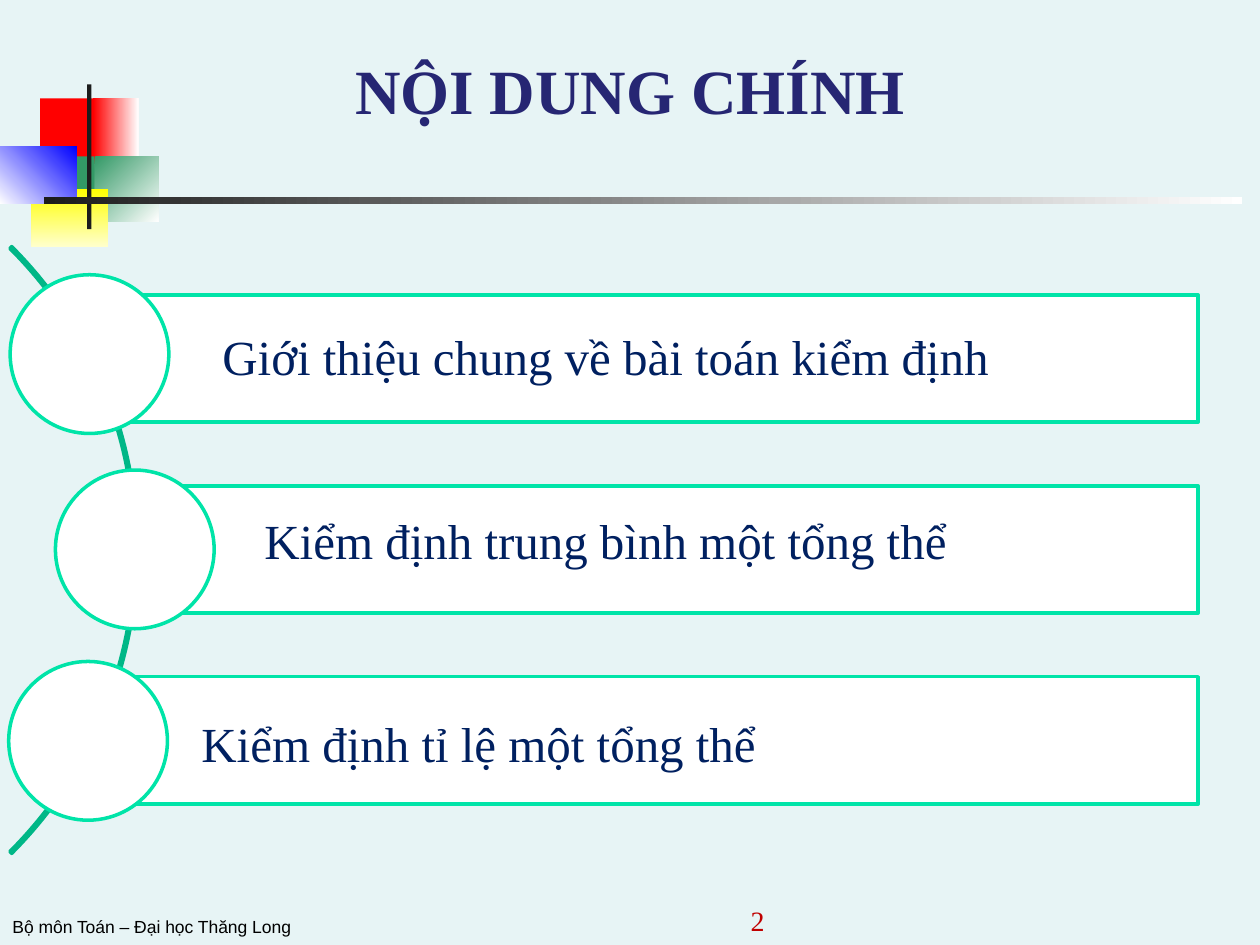
from typing import NamedTuple, Optional

from pptx import Presentation
from pptx.dml.color import RGBColor
from pptx.enum.shapes import MSO_SHAPE as SHAPE
from pptx.enum.text import MSO_ANCHOR as ANCHOR, MSO_AUTO_SIZE as AUTOSIZE, PP_ALIGN as ALIGN
from pptx.util import Pt

SERIF, SANS = "Times New Roman", "Arial"
WHITE, MINT, GREEN, NAVY = "FFFFFF", "00E4A8", "00B787", "002060"


class Block(NamedTuple):
    """Decorative rectangle; a second colour makes a gradient (clockwise angle)."""
    x: float
    y: float
    w: float
    h: float
    color: str
    end: Optional[str] = None
    angle: float = 0


class Topic(NamedTuple):
    text: str
    text_x: float
    text_y: float
    bar_x: float
    circle_x: float
    circle_y: float


BLOCKS = [
    Block(23, 56.2, 34.6, 37.4, "FF0000"),
    Block(53.3, 56.2, 25.9, 37.4, "FF0000", WHITE),
    Block(54, 89.3, 36.7, 37.4, "339966", WHITE, 45),
    Block(31, 89.3, 23, 37.4, "339966"),
    Block(18, 108, 44, 33.1, "FFFF00", "FFFFCC", 90),
    Block(0, 83.5, 44, 33.1, WHITE, "0000FF", 315),
    Block(49.8, 48.2, 2.5, 82.8, "1C1C1C"),
    Block(25.2, 112.5, 684.7, 4.3, "1C1C1C", WHITE),
]

TOPICS = [
    Topic("Giới thiệu chung về bài toán kiểm định", 120, 183, 50.4, 5.8, 157),
    Topic("Kiểm định trung bình một tổng thể", 144, 288, 77, 31.7, 268.6),
    Topic("Kiểm định tỉ lệ một tổng thể", 108, 404, 50.4, 5, 378),
]
BAR_TOP, BAR_PITCH, BAR_H, BAR_RIGHT = 168.5, 109.1, 72.7, 684.7
CIRCLE = 90.7


def rgb(color: str) -> RGBColor:
    return RGBColor.from_string(color)


def add_shape(s, kind, x: float, y: float, w: float, h: float,
              fill: Optional[str] = None, line: Optional[str] = None):
    sp = s.shapes.add_shape(kind, Pt(x), Pt(y), Pt(w), Pt(h))
    sp.shadow.inherit = False
    if fill:
        sp.fill.solid()
        sp.fill.fore_color.rgb = rgb(fill)
    else:
        sp.fill.background()
    if line:
        sp.line.color.rgb = rgb(line)
        sp.line.width = Pt(2)
    else:
        sp.line.fill.background()
    return sp


def add_block(s, b: Block) -> None:
    sp = add_shape(s, SHAPE.RECTANGLE, b.x, b.y, b.w, b.h, b.color)
    if b.end:
        sp.fill.gradient()
        sp.fill.gradient_angle = (360 - b.angle) % 360
        for stop, color in zip(sp.fill.gradient_stops, (b.color, b.end)):
            stop.color.rgb = rgb(color)


def write(sp, text: str, color: str, size: float, font: str = SERIF,
          bold: bool = False, align=ALIGN.LEFT, anchor=ANCHOR.TOP) -> None:
    tf = sp.text_frame
    frame = {"word_wrap": True, "auto_size": AUTOSIZE.NONE, "vertical_anchor": anchor,
             "margin_left": Pt(7.2), "margin_right": Pt(7.2),
             "margin_top": Pt(3.6), "margin_bottom": Pt(3.6)}
    for name, value in frame.items():
        setattr(tf, name, value)
    p = tf.paragraphs[0]
    p.alignment = align
    r = p.add_run()
    r.text = text
    for name, value in {"name": font, "size": Pt(size), "bold": bold}.items():
        setattr(r.font, name, value)
    r.font.color.rgb = rgb(color)


def add_text(s, x: float, y: float, w: float, h: float, text: str,
             color: str, size: float, **style) -> None:
    sp = s.shapes.add_textbox(Pt(x), Pt(y), Pt(w), Pt(h))
    write(sp, text, color, size, **style)


def main() -> None:
    prs = Presentation()
    prs.slide_width, prs.slide_height = Pt(720), Pt(540)
    s = prs.slides.add_slide(prs.slide_layouts[5])
    s.background.fill.solid()
    s.background.fill.fore_color.rgb = rgb("E7F4F5")

    # Corner decoration and rule
    for block in BLOCKS:
        add_block(s, block)

    # Title
    title = s.shapes.title
    box = {"left": Pt(0), "top": Pt(23.8), "width": Pt(720), "height": Pt(52.6)}
    for name, value in box.items():
        setattr(title, name, value)
    write(title, "NỘI DUNG CHÍNH", "262673", 36, bold=True,
          align=ALIGN.CENTER, anchor=ANCHOR.BOTTOM)

    # Arc behind the topics, from 315 to 45 degrees
    arc = add_shape(s, SHAPE.BLOCK_ARC, -411.8, 69.1, 490.3, 490.3, line=GREEN)
    for i, value in enumerate((189, 27, 0.003)):
        arc.adjustments[i] = value

    # Topic bars with their circles
    for i, t in enumerate(TOPICS):
        add_shape(s, SHAPE.RECTANGLE, t.bar_x, BAR_TOP + i * BAR_PITCH,
                  BAR_RIGHT - t.bar_x, BAR_H, WHITE, MINT)
        add_shape(s, SHAPE.OVAL, t.circle_x, t.circle_y, CIRCLE, CIRCLE, WHITE, MINT)
    for t in TOPICS:
        add_text(s, t.text_x, t.text_y, BAR_RIGHT - t.text_x, 41, t.text, NAVY, 28)

    # Page number and footer
    add_text(s, 276, 510, 168, 28.8, "2", "C00000", 16,
             align=ALIGN.RIGHT, anchor=ANCHOR.BOTTOM)
    add_text(s, 0, 520, 348, 20, "Bộ môn Toán – Đại học Thăng Long",
             "000000", 10, font=SANS)

    prs.save("out.pptx")


if __name__ == "__main__":
    main()
